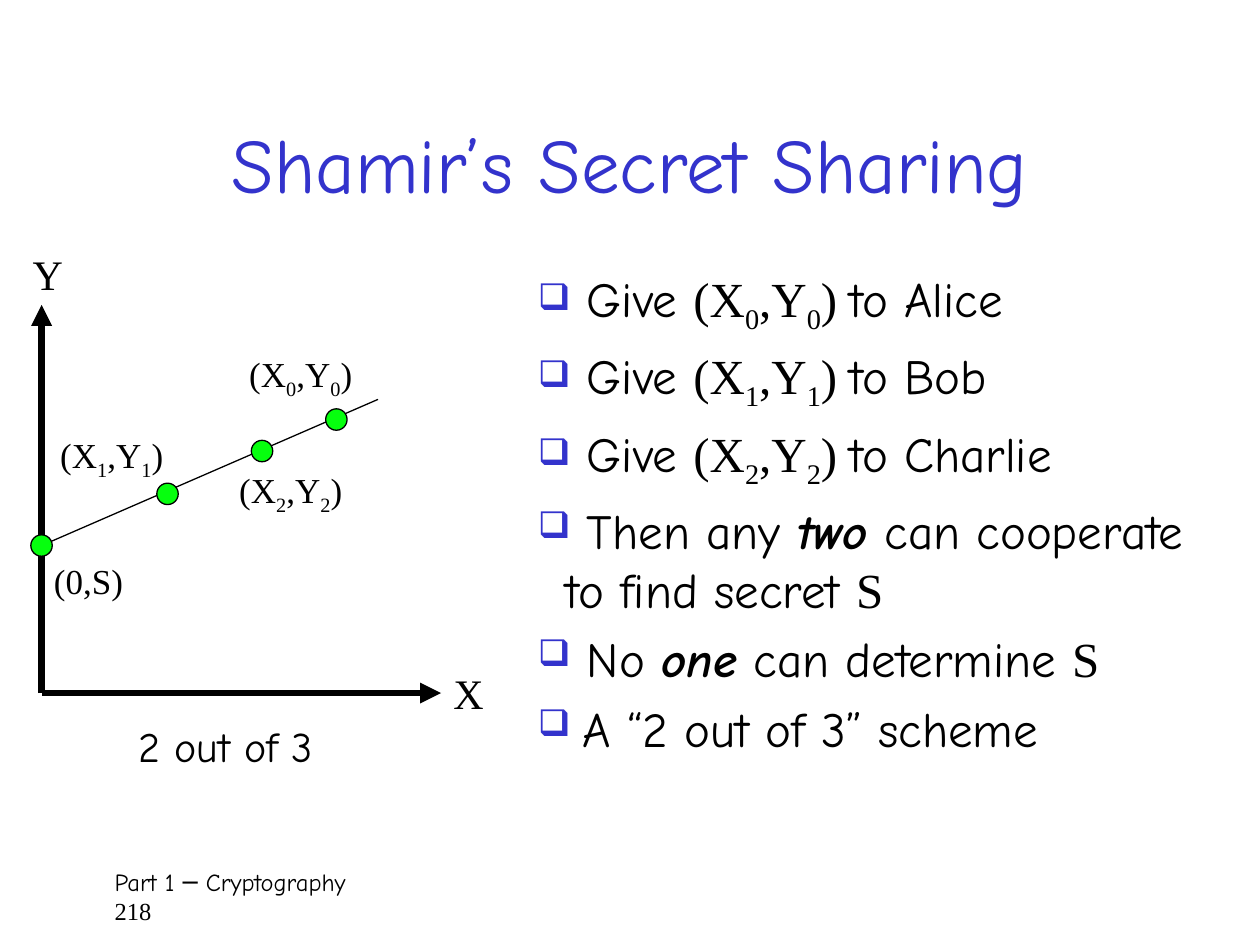
from pptx import Presentation, util as u
from pptx.dml.color import RGBColor
from pptx.enum import shapes, text
from pptx.oxml.ns import qn
from lxml import etree

BLACK, BLUE, GREEN = (RGBColor.from_string(c) for c in ("000000", "3333CC", "06FF0E"))
SANS, SERIF = "Comic Neue", "Times New Roman"
DOT = 0.17


def share(index):
    """Spans of a point label with subscripts; each span is (words, style)."""
    return [("(X", "serif"), (index, "sub"), (",Y", "serif"), (index, "sub"), (")", "serif")]


# Content
TITLE = "Shamir’s Secret Sharing"
FOOTER = [("Part 1 ─ Cryptography", "sans"), ("\v", "sans"), ("218", "serif")]
BULLETS = [
    [(" Give ", "sans"), *share(index), (" ", "serif"), (f"to {name}", "sans")]
    for index, name in zip("012", ("Alice", "Bob", "Charlie"))
] + [
    [(" Then any ", "sans"), ("two", "strong"), (" can cooperate to find secret ", "sans"),
     ("S", "serif")],
    [(" No ", "sans"), ("one", "strong"), (" can determine ", "sans"), ("S", "serif")],
    [(" ", "serif"), ("A “2 out of 3” scheme", "sans")],
]
ORIGIN, X_END, Y_END = (0.33, 5.5), (3.5, 5.5), (0.33, 2.42)
LINES = [  # start, end, width, arrowhead
    (ORIGIN, X_END, 4, True),
    (ORIGIN, Y_END, 4, True),
    ((0.33, 4.33), (3, 3.17), 0.75, False),
]
POINTS = [(0.33, 4.33), (1.33, 3.92), (2.08, 3.58), (2.67, 3.33)]
LABELS = [  # left, top, width, height, size, spans
    (1.88, 2.75, 1.03, 0.43, 20, share("0")),
    (0.38, 3.39, 1.03, 0.43, 20, share("1")),
    (1.8, 3.67, 1.03, 0.43, 20, share("2")),
    (0.33, 4.39, 0.8, 0.43, 20, [("(0,S)", "serif")]),
    (3.5, 5.25, 0.42, 0.5, 24, [("X", "serif")]),
    (0.16, 1.92, 0.42, 0.5, 24, [("Y", "serif")]),
    (1, 5.67, 1.76, 0.57, 24, [("2 out of 3", "sans")]),
]


def inches(*lengths):
    return [u.Inches(length) for length in lengths]


def write(para, spans, size):
    para.font.size = u.Pt(size)
    para.font.color.rgb = BLACK
    for words, style in spans:
        if words == "\v":
            para.add_line_break()
            continue
        span = para.add_run()
        span.text = words
        span.font.size = u.Pt(size)
        span.font.name = SERIF if style in ("serif", "sub") else SANS
        if style == "strong":
            span.font.bold = span.font.italic = True
        if style == "sub":
            span.font._element.set("baseline", "-25000")


def add_box(page, left, top, width, height, wrap=True):
    box = page.shapes.add_textbox(*inches(left, top, width, height))
    box.text_frame.word_wrap = wrap
    return box.text_frame


def add_bullet(para):
    props = para._p.get_or_add_pPr()
    props.set("marL", str(u.Inches(0.22)))
    props.set("indent", str(-u.Inches(0.22)))
    color = etree.SubElement(props, qn("a:buClr"))
    etree.SubElement(color, qn("a:srgbClr"), val=str(BLUE))
    etree.SubElement(props, qn("a:buSzPct"), val="75000")
    etree.SubElement(props, qn("a:buChar"), char="❑")


def add_line(page, start, end, width, arrow):
    line = page.shapes.add_connector(shapes.MSO_CONNECTOR.STRAIGHT, *inches(*start, *end))
    line.line.color.rgb = BLACK
    line.line.width = u.Pt(width)
    if arrow:
        etree.SubElement(line.line._get_or_add_ln(), qn("a:tailEnd"), type="triangle")
    etree.SubElement(line._element.spPr, qn("a:effectLst"))


def main():
    deck = Presentation()
    deck.slide_width, deck.slide_height = inches(10, 7.5)
    page = deck.slides.add_slide(deck.slide_layouts[5])

    # Title
    title = page.shapes.title
    title.left, title.top, title.width, title.height = inches(0.75, 0.67, 8.5, 1.25)
    title.text_frame.text = TITLE
    title.text_frame.vertical_anchor = text.MSO_ANCHOR.MIDDLE
    para = title.text_frame.paragraphs[0]
    para.alignment = text.PP_ALIGN.CENTER
    para.font.name, para.font.size = SANS, u.Pt(44)
    para.font.color.rgb = BLUE

    # Footer
    frame = add_box(page, 0.75, 6.83, 8.58, 0.5)
    frame.margin_left = u.Inches(0.16)
    write(frame.paragraphs[0], FOOTER, 14)

    # Axes, secret line and its points
    for line in LINES:
        add_line(page, *line)
    for x, y in POINTS:
        dot = page.shapes.add_shape(shapes.MSO_SHAPE.OVAL,
                                    *inches(x - DOT / 2, y - DOT / 2, DOT, DOT))
        dot.shadow.inherit = False
        dot.fill.solid()
        dot.fill.fore_color.rgb = GREEN
        dot.line.color.rgb = BLACK
        dot.line.width = u.Pt(0.75)

    # Graph labels
    for *place, size, spans in LABELS:
        write(add_box(page, *place, wrap=False).paragraphs[0], spans, size)

    # Bullet list
    frame = add_box(page, 4.17, 2.08, 5.67, 3.82)
    for number, spans in enumerate(BULLETS):
        para = frame.add_paragraph() if number else frame.paragraphs[0]
        add_bullet(para)
        para.space_after = u.Pt(6)
        write(para, spans, 28)

    deck.save("out.pptx")


if __name__ == "__main__":
    main()
